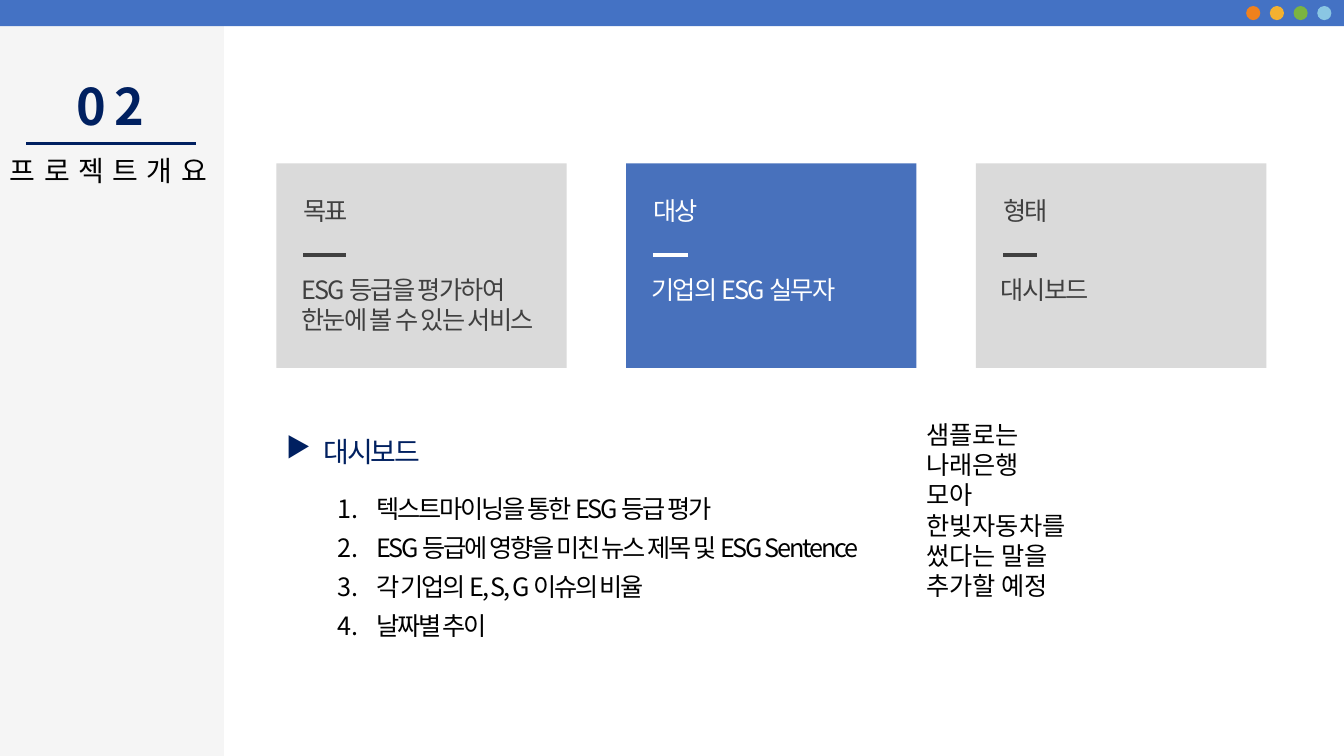
from pptx import Presentation
from pptx.dml.color import RGBColor
from pptx.enum import shapes, text
from pptx.oxml import ns, xmlchemy
from pptx.util import Inches, Pt

NAVY, BLUE, DARK, BLACK, WHITE = "002060", "4472C4", "404040", "000000", "FFFFFF"
CARD_GRAY, CARD_BLUE = "DADADA", "4871BC"


def rgb(value):
    return RGBColor.from_string(value)


def add_xml(parent, tag, **attrs):
    el = xmlchemy.OxmlElement(tag)
    for name, value in attrs.items():
        el.set(name, str(value))
    parent.append(el)
    return el


def write(p, words, size=18, color=BLACK, bold=False, spacing=0, font="Noto Sans CJK KR"):
    r = p.add_run()
    r.text = words
    r.font.size = Pt(size)
    r.font.bold = bold
    r.font.color.rgb = rgb(color)
    r.font.name = font
    rpr = r._r.get_or_add_rPr()
    rpr.set("spc", str(round(spacing * 100)))
    add_xml(rpr, "a:ea", typeface=font)


class SlideBuilder:
    def __init__(self, s):
        self.s = s

    def shape(self, kind, x, y, w, h, fill):
        sp = self.s.shapes.add_shape(kind, Inches(x), Inches(y), Inches(w), Inches(h))
        sp.shadow.inherit = False
        sp.fill.solid()
        sp.fill.fore_color.rgb = rgb(fill)
        sp.line.fill.background()
        return sp

    def rect(self, x, y, w, h, fill):
        return self.shape(shapes.MSO_SHAPE.RECTANGLE, x, y, w, h, fill)

    def dot(self, x, y, d, fill):
        return self.shape(shapes.MSO_SHAPE.OVAL, x, y, d, d, fill)

    def rule(self, x1, x2, y, color, width):
        c = self.s.shapes.add_connector(
            shapes.MSO_CONNECTOR.STRAIGHT, Inches(x1), Inches(y), Inches(x2), Inches(y))
        c.line.color.rgb = rgb(color)
        c.line.width = Pt(width)
        add_xml(c._element.spPr, "a:effectLst")

    def text(self, x, y, w, h, lines, wrap=True, inset=(0.1, 0.05), align=None,
             leading=None, bullet=None, hang=0.38, **style):
        sp = self.s.shapes.add_textbox(Inches(x), Inches(y), Inches(w), Inches(h))
        tf = sp.text_frame
        tf.word_wrap = wrap
        tf.auto_size = text.MSO_AUTO_SIZE.SHAPE_TO_FIT_TEXT
        tf.margin_left = tf.margin_right = Inches(inset[0])
        tf.margin_top = tf.margin_bottom = Inches(inset[1])
        for i, words in enumerate(lines):
            p = tf.add_paragraph() if i else tf.paragraphs[0]
            p.alignment = align
            p.line_spacing = leading
            if bullet:
                self.bullet(p, hang, *bullet)
            write(p, words, **style)

    def bullet(self, p, hang, tag, attrs):
        ppr = p._p.get_or_add_pPr()
        ppr.set("marL", str(Inches(hang)))
        ppr.set("indent", str(-Inches(hang)))
        add_xml(ppr, tag, **attrs)

    def card(self, x, title, lines, fill, color, dash=0.34):
        self.rect(x, 1.62, 2.88, 2.03, fill)
        self.text(x + 0.17, 1.89, 2.04, 0.4, [title], color=color, spacing=-1.2)
        self.rule(x + 0.27, x + 0.27 + dash, 2.53, color, 2.25)
        self.text(x + 0.15, 2.67, 2.73, 0.4 * len(lines), lines, color=color, spacing=-1.2)


def main():
    prs = Presentation()
    prs.slide_width, prs.slide_height = Inches(13.33), Inches(7.5)
    b = SlideBuilder(prs.slides.add_slide(prs.slide_layouts[6]))

    b.rect(0, 0, 2.22, 7.5, "F5F5F5")
    b.rect(0, 0, 13.33, 0.26, BLUE)
    for i, color in enumerate(["F0811D", "F3B130", "7BB441", "8AC6E3"]):
        b.dot(12.36 + i * 0.235, 0.06, 0.14, color)

    b.text(0.66, 0.7, 1, 0.71, ["02"], wrap=False, size=36, color=NAVY, bold=True, spacing=6)
    b.rule(0.26, 1.94, 1.42, NAVY, 2)
    b.text(0, 1.47, 2.24, 0.44, ["프로젝트개요"], wrap=False,
           align=text.PP_ALIGN.JUSTIFY, size=20, spacing=6)

    cards = [
        ("목표", ["ESG 등급을 평가하여", "한눈에 볼 수 있는 서비스"], CARD_GRAY, DARK, 0.42),
        ("대상", ["기업의 ESG 실무자"], CARD_BLUE, WHITE, 0.34),
        ("형태", ["대시보드"], CARD_GRAY, DARK, 0.34),
    ]
    for i, card in enumerate(cards):
        b.card(2.74 + i * 3.47, *card)

    b.text(2.74, 4.26, 7.02, 0.44, ["대시보드"], bullet=("a:buChar", {"char": "▶"}),
           hang=0.37, size=20, color=NAVY, spacing=-1.5)
    b.text(3.23, 4.74, 7.22, 1.67, [
        "텍스트마이닝을 통한 ESG 등급 평가",
        "ESG 등급에 영향을 미친 뉴스 제목 및 ESG Sentence",
        "각 기업의 E, S, G 이슈의 비율",
        "날짜별 추이",
    ], inset=(0.12, 0.06), leading=1.3, bullet=("a:buAutoNum", {"type": "arabicPeriod"}),
        spacing=-1.5)
    b.text(9.09, 4.11, 2.37, 1.92, [
        "샘플로는", "나래은행", "모아", "한빛자동차를", "썼다는 말을", "추가할 예정"])

    prs.save("out.pptx")


if __name__ == "__main__":
    main()
